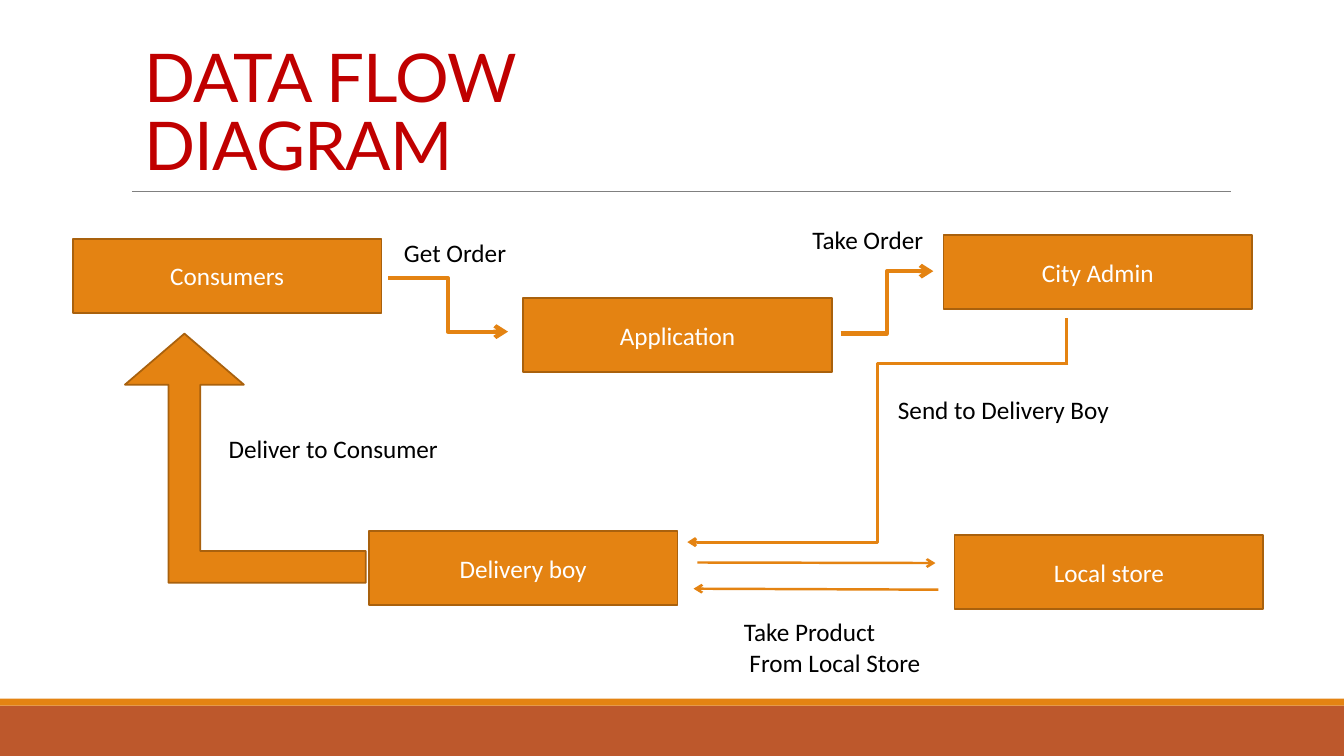
import pptx
import pptx.util
import pptx.dml.color
import pptx.enum.shapes
import pptx.enum.text
import pptx.oxml
from dataclasses import dataclass

Pt = pptx.util.Pt
RGB = pptx.dml.color.RGBColor.from_string
SHAPE = pptx.enum.shapes.MSO_SHAPE
CONN = pptx.enum.shapes.MSO_CONNECTOR
ALIGN = pptx.enum.text.PP_ALIGN
ANCHOR = pptx.enum.text.MSO_ANCHOR
AUTO = pptx.enum.text.MSO_AUTO_SIZE
NS = 'xmlns:a="http://schemas.openxmlformats.org/drawingml/2006/main"'


@dataclass(frozen=True)
class Theme:
    title: str = "C00000"
    accent: str = "E48312"
    outline: str = "A9610D"
    band: str = "BD582C"
    rule: str = "808080"
    light: str = "FFFFFF"
    dark: str = "000000"
    title_font: str = "Lato"
    body_font: str = "Calibri"
    title_size: float = 48
    body_size: float = 18
    outline_width: float = 1.25


T = Theme()


def set_font(p, name, size, color):
    p.font.name, p.font.size = name, Pt(size)
    p.font.color.rgb = RGB(color)


def add_block(s, kind, x, y, w, h, fill, outline=None):
    sp = s.shapes.add_shape(kind, Pt(x), Pt(y), Pt(w), Pt(h))
    sp.shadow.inherit = False
    sp.fill.solid()
    sp.fill.fore_color.rgb = RGB(fill)
    if outline:
        sp.line.color.rgb = RGB(outline)
        sp.line.width = Pt(T.outline_width)
    else:
        sp.line.fill.background()
    return sp


def add_line(s, kind, x1, y1, x2, y2, color, width, arrow=False):
    c = s.shapes.add_connector(kind, Pt(x1), Pt(y1), Pt(x2), Pt(y2))
    c.line.color.rgb = RGB(color)
    c.line.width = Pt(width)
    if arrow:
        c.line._get_or_add_ln().append(
            pptx.oxml.parse_xml(f'<a:tailEnd {NS} type="arrow"/>'))
    c._element.spPr.append(pptx.oxml.parse_xml(f"<a:effectLst {NS}/>"))


def add_label(s, x, y, w, lines):
    sp = s.shapes.add_textbox(Pt(x), Pt(y), Pt(w), Pt(7.2 + 21.8 * len(lines)))
    tf = sp.text_frame
    tf.word_wrap = False
    tf.auto_size = AUTO.SHAPE_TO_FIT_TEXT
    tf.text = "\n".join(lines)
    for p in tf.paragraphs:
        set_font(p, T.body_font, T.body_size, T.dark)


def footer(s, x, y, w, h):
    stripe = 5
    add_block(s, SHAPE.RECTANGLE, x, y + stripe, w, h - stripe, T.band)
    add_block(s, SHAPE.RECTANGLE, x, y, w, stripe, T.accent)


def header(s, x, y, w, h):
    add_line(s, CONN.STRAIGHT, x, y + h, x + w, y + h, T.rule, 0.5)
    sp = s.shapes.title
    sp.left, sp.top, sp.width, sp.height = Pt(x + 1.5), Pt(y), Pt(293), Pt(h - 1.5)
    tf = sp.text_frame
    tf.text = "DATA FLOW DIAGRAM"
    tf.word_wrap = True
    tf.auto_size = AUTO.NONE
    tf.vertical_anchor = ANCHOR.BOTTOM
    p = tf.paragraphs[0]
    p.alignment = ALIGN.LEFT
    p.line_spacing = 0.85
    set_font(p, T.title_font, T.title_size, T.title)
    p.runs[0].font._element.set("spc", "-50")


def flow(s, x, y):
    # Parties
    for name, dx, dy in (("Consumers", 0, 13.6), ("Application", 321.7, 56.1),
                         ("City Admin", 621.9, 10.8), ("Local store", 629.8, 225.3),
                         ("Delivery boy", 211.5, 222.4)):
        sp = add_block(s, SHAPE.RECTANGLE, x + dx, y + dy, 220.5, 52.8,
                       T.accent, T.outline)
        tf = sp.text_frame
        tf.text = name
        tf.vertical_anchor = ANCHOR.MIDDLE
        p = tf.paragraphs[0]
        p.alignment = ALIGN.CENTER
        set_font(p, T.body_font, T.body_size, T.light)

    # Order, dispatch and store links
    for kind, x1, y1, x2, y2, width, arrow in (
            (CONN.ELBOW, 225.2, 41.7, 310.9, 79.9, 3, True),
            (CONN.ELBOW, 548.5, 81.3, 614.7, 36.7, 3, True),
            (CONN.ELBOW, 711.2, 102.4, 439, 230.2, 2, True),
            (CONN.STRAIGHT, 709.8, 102.9, 709.8, 69.8, 2, False),
            (CONN.STRAIGHT, 446.2, 244.8, 616.2, 245.2, 1.75, True),
            (CONN.STRAIGHT, 618.3, 264.2, 443.4, 263.5, 1.75, True)):
        add_line(s, kind, x + x1, y + y1, x + x2, y + y2, T.accent, width, arrow)

    # Block arrow back to the consumers
    sp = add_block(s, SHAPE.BENT_UP_ARROW, x + 37.3, y + 81.3, 172, 178,
                   T.accent, T.outline)
    for i, value in enumerate((0.132, 0.247, 0.212)):
        sp.adjustments[i] = value
    sp._element.spPr.xfrm.set("flipH", "1")

    # Link labels
    for dx, dy, w, lines in (
            (229.5, 9.3, 88.6, ["Get Order"]),
            (521.1, 0, 94.3, ["Take Order"]),
            (582.3, 120.9, 167, ["Send to Delivery Boy"]),
            (104.2, 149, 165.6, ["Deliver to Consumer"]),
            (472.2, 280, 141.8, ["Take Product", " From Local Store"])):
        add_label(s, x + dx, y + dy, w, lines)


def main():
    prs = pptx.Presentation()
    prs.slide_width, prs.slide_height = Pt(960), Pt(540)
    s = prs.slides.add_slide(prs.slide_layouts[5])
    footer(s, 0, 499, 960, 41)
    header(s, 94.3, 21, 784.8, 115.8)
    flow(s, 52, 157)
    prs.save("out.pptx")


if __name__ == "__main__":
    main()
